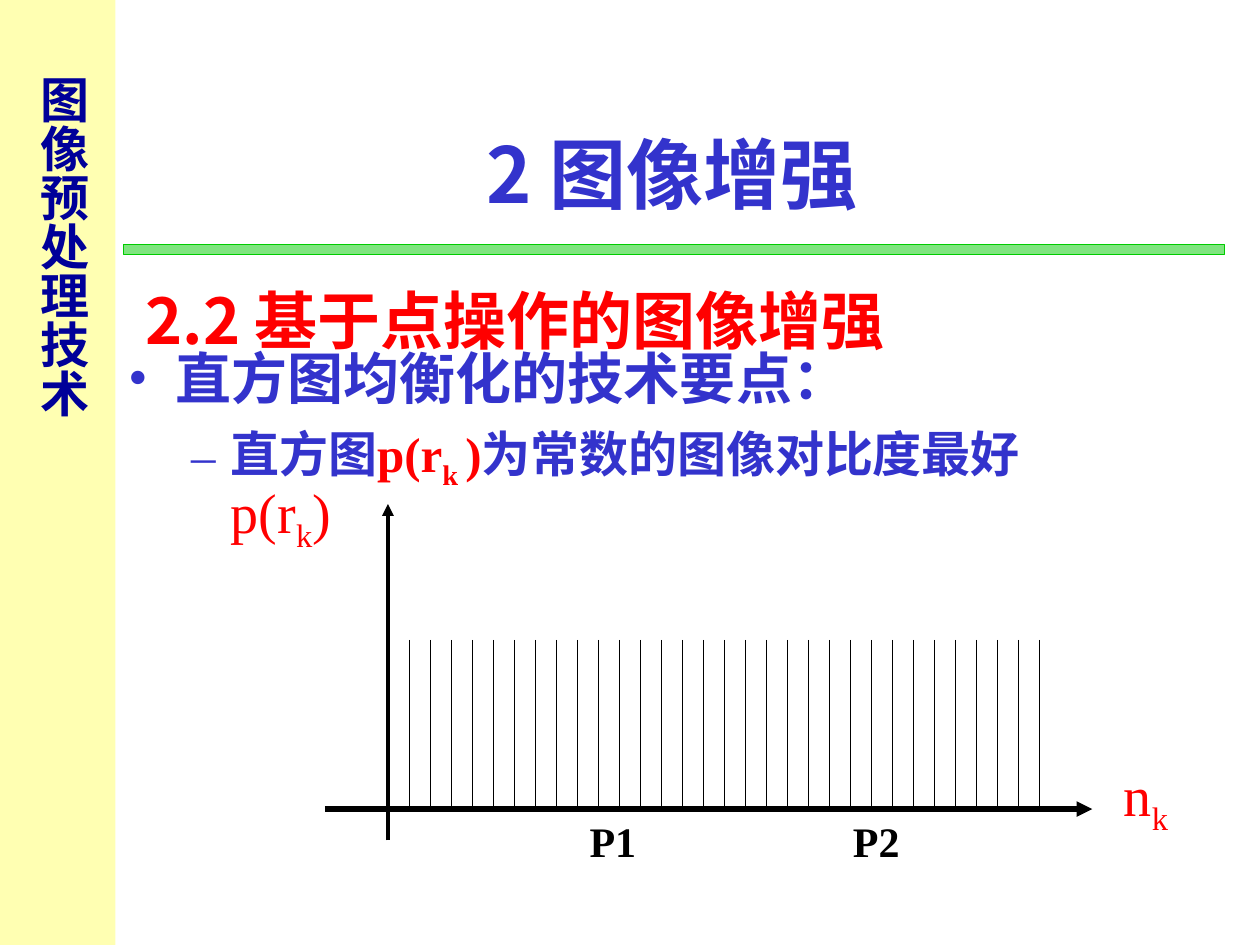
from lxml.etree import SubElement
from pptx import Presentation
from pptx.dml.color import RGBColor
from pptx.enum.shapes import MSO_CONNECTOR, MSO_SHAPE
from pptx.enum.text import MSO_ANCHOR, MSO_AUTO_SIZE, PP_ALIGN
from pptx.oxml.ns import qn
from pptx.util import Cm, Pt

SANS, SERIF = "Noto Sans CJK SC", "Times New Roman"
BLUE, RED, BLACK = "3333CC", "FF0000", "000000"


def paint(part, color):
    part.rgb = RGBColor.from_string(color)


def write(para, parts, size, face, bold):
    for text, color, base in parts:
        run = para.add_run()
        run.text = text
        run.font.size, run.font.name, run.font.bold = Pt(size), face, bold
        paint(run.font.color, color)
        props = run._r.get_or_add_rPr()
        SubElement(props, qn("a:ea")).set("typeface", SANS)
        if base:
            props.set("baseline", str(base))


deck = Presentation()
deck.slide_width, deck.slide_height = Cm(25.4), Cm(19.05)
slide = deck.slides.add_slide(deck.slide_layouts[1])
shapes = slide.shapes

panels = [
    (0, 0, 2.33, 19.05, "FFFF66", False),
    (2.49, 4.93, 22.2, 0.2, "00CC00", True),
]
for left, top, width, height, color, edge in panels:
    panel = shapes.add_shape(MSO_SHAPE.RECTANGLE, Cm(left), Cm(top), Cm(width), Cm(height))
    panel.shadow.inherit = False
    panel.fill.solid()
    paint(panel.fill.fore_color, color)
    fill = panel._element.spPr.find(qn("a:solidFill"))
    SubElement(fill[0], qn("a:alpha")).set("val", "50000")
    if edge:
        panel.line.width = Pt(0.75)
        paint(panel.line.color, color)
    else:
        panel.line.fill.background()

title = shapes.title
title.left, title.top, title.width, title.height = Cm(2.75), Cm(1.9), Cm(21.6), Cm(3.18)
title.text_frame.vertical_anchor = MSO_ANCHOR.MIDDLE
title.text_frame.auto_size = MSO_AUTO_SIZE.NONE
head = title.text_frame.paragraphs[0]
head.alignment = PP_ALIGN.CENTER
write(head, [("2 图像增强", BLUE, 0)], 44, SANS, True)

body = slide.placeholders[1]
body.left, body.top, body.width, body.height = Cm(2.33), Cm(6.95), Cm(23.07), Cm(3.18)
frame = body.text_frame
frame.auto_size = MSO_AUTO_SIZE.NONE
points = [
    (0, 32, 0.9, 8, 0.96, -0.96, "•", [("直方图均衡化的技术要点：", BLUE, 0)]),
    (1, 28, 1.0, 7, 2.06, -0.79, "–", [
        ("直方图", BLUE, 0),
        ("p(r", RED, 0),
        ("k ", RED, -25000),
        (")", RED, 0),
        ("为常数的图像对比度最好", BLUE, 0),
    ]),
]
for level, size, space, gap, margin, indent, mark, parts in points:
    para = frame.add_paragraph() if level else frame.paragraphs[0]
    para.level, para.line_spacing, para.space_before = level, space, Pt(gap)
    props = para._p.get_or_add_pPr()
    props.set("marL", str(Cm(margin)))
    props.set("indent", str(Cm(indent)))
    tint = SubElement(props, qn("a:buClr"))
    SubElement(tint, qn("a:srgbClr")).set("val", BLUE)
    SubElement(props, qn("a:buFont")).set("typeface", SERIF)
    SubElement(props, qn("a:buChar")).set("char", mark)
    write(para, parts, size, face=SERIF, bold=True)

base, peak, first, step = 16.31, 12.9, 8.26, 25.4 / 60
lines = [
    (6.55, base, 22.02, base, 3, True),
    (7.82, 16.94, 7.82, 10.16, 2.25, True),
]
for count in range(31):
    spot = first + count * step
    lines.append((spot, peak, spot, base, 0.75, False))
for left, top, right, end, width, arrow in lines:
    line = shapes.add_connector(MSO_CONNECTOR.STRAIGHT, Cm(left), Cm(top), Cm(right), Cm(end))
    line.line.width = Pt(width)
    paint(line.line.color, BLACK)
    if arrow:
        SubElement(line.line._get_or_add_ln(), qn("a:tailEnd")).set("type", "triangle")
    SubElement(line._element.spPr, qn("a:effectLst"))

labels = [
    (3.88, 9.5, 3.56, 1.8, 32, SERIF, False, [("p(r", RED, 0), ("k", RED, -25000), (")", RED, 0)]),
    (22.4, 15.21, 1.4, 1.8, 32, SERIF, False, [("n", RED, 0), ("k", RED, -25000)]),
    (11.63, 16.31, 1.45, 1.27, 24, SERIF, True, [("P1", BLACK, 0)]),
    (16.94, 16.31, 1.45, 1.27, 24, SERIF, True, [("P2", BLACK, 0)]),
    (2.69, 5.54, 20.24, 1.78, 36, SANS, True, [("2.2 基于点操作的图像增强", RED, 0)]),
    (0.43, 1.27, 1.68, 12.4, 28, SANS, True, [("图像预处理技术", "000099", 0)]),
]
for left, top, width, height, size, face, bold, parts in labels:
    box = shapes.add_textbox(Cm(left), Cm(top), Cm(width), Cm(height))
    frame = box.text_frame
    frame.word_wrap = width > 1.5
    frame.vertical_anchor = MSO_ANCHOR.MIDDLE
    para = frame.paragraphs[0]
    para.alignment = PP_ALIGN.LEFT if size == 36 else PP_ALIGN.CENTER
    if height > width:
        if size == 28:
            frame._txBody.bodyPr.set("vert", "eaVert")
            frame.margin_left = frame.margin_right = Cm(0.13)
    write(para, parts, size, face, bold)

deck.save("out.pptx")
